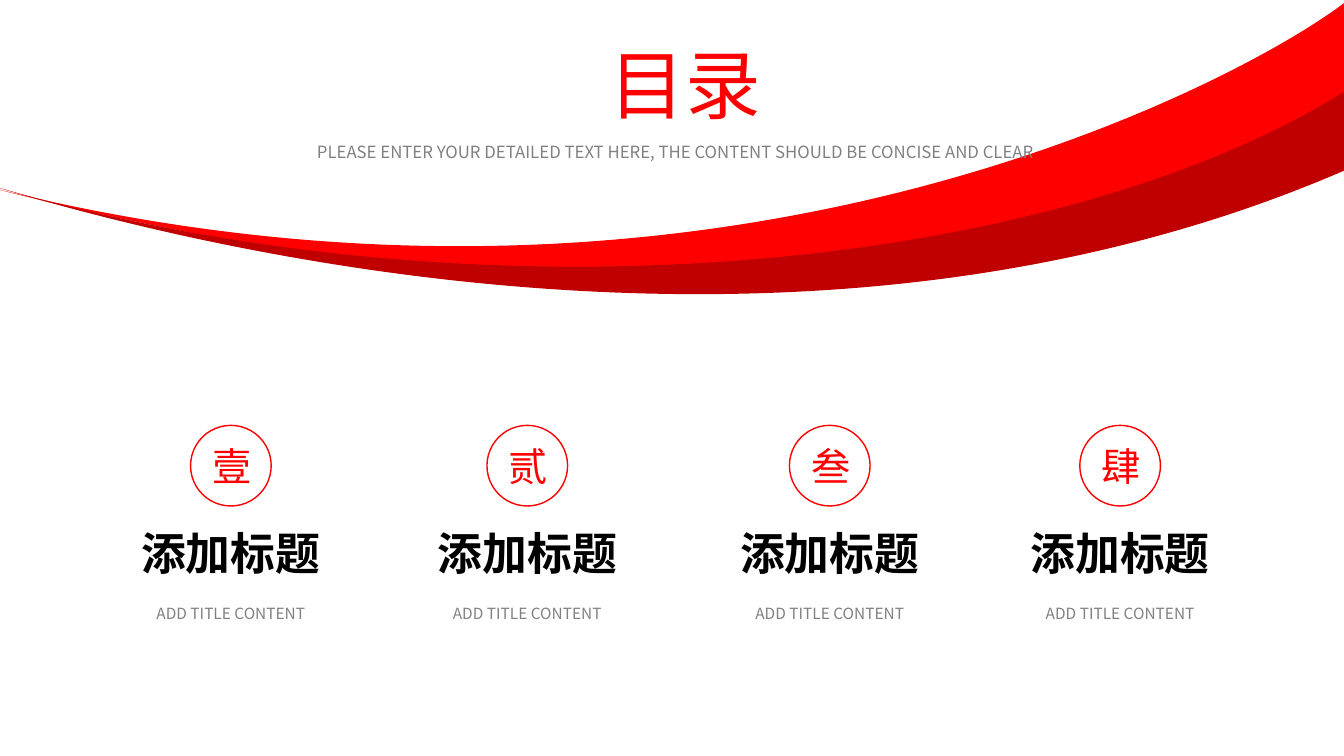
from pptx import Presentation
from pptx.dml.color import RGBColor
from pptx.enum.shapes import MSO_SHAPE
from pptx.enum.text import MSO_ANCHOR, MSO_AUTO_SIZE, PP_ALIGN
from pptx.oxml.ns import qn
from pptx.util import Inches, Pt
from lxml.etree import SubElement

RED = RGBColor(0xFF, 0x00, 0x00)
DARK_RED = RGBColor(0xC0, 0x00, 0x00)
GRAY = RGBColor(0x80, 0x80, 0x80)
BLACK = RGBColor(0x00, 0x00, 0x00)
FONT = "Noto Sans CJK SC"

TITLE = "目录"
SUBTITLE = "PLEASE ENTER YOUR DETAILED TEXT HERE, THE CONTENT SHOULD BE CONCISE AND CLEAR"
SECTIONS = [
    (1.89, 2.91, "壹", "添加标题", "ADD TITLE CONTENT"),
    (4.83, 3.0, "贰", "添加标题", "ADD TITLE CONTENT"),
    (7.83, 2.99, "叁", "添加标题", "ADD TITLE CONTENT"),
    (10.71, 2.92, "肆", "添加标题", "ADD TITLE CONTENT"),
]
RIBBONS = [
    (RED, (-0.21, 0, 13.57, 2.72), [
        ("moveTo", [(-0.21, 1.83)]),
        ("cubicBezTo", [(3.4, 2.78), (8.74, 3.56), (13.35, 0.97)]),
        ("lnTo", [(13.37, 0)]),
        ("cubicBezTo", [(12.41, 0.76), (7.06, 3.7), (-0.21, 1.83)]),
        ("close", []),
    ]),
    (DARK_RED, (-0.19, 0.9, 13.55, 2.01), [
        ("moveTo", [(-0.19, 1.81)]),
        ("cubicBezTo", [(2.69, 2.7), (8.41, 3.84), (13.36, 1.68)]),
        ("cubicBezTo", [(13.36, 1.42), (13.35, 1.16), (13.35, 0.9)]),
        ("cubicBezTo", [(10.49, 2.69), (4.77, 3.29), (-0.19, 1.81)]),
        ("close", []),
    ]),
]
CIRCLE = 0.8


def add_ribbon(s, color, bounds, commands):
    left, top, width, height = (Inches(v) for v in bounds)
    builder = s.shapes.build_freeform(left, top)
    builder.add_line_segments([(left + width, top), (left + width, top + height)])
    sp = builder.convert_to_shape()
    outline = sp._element.find(".//" + qn("a:path"))
    for child in list(outline):
        outline.remove(child)
    for command, points in commands:
        step = SubElement(outline, qn("a:" + command))
        for x, y in points:
            pt = SubElement(step, qn("a:pt"))
            pt.set("x", str(Inches(x) - left))
            pt.set("y", str(Inches(y) - top))
    sp.shadow.inherit = False
    sp.fill.solid()
    sp.fill.fore_color.rgb = color
    sp.line.fill.background()


def write(sp, text, size, color, bold=False, align=PP_ALIGN.CENTER,
          anchor=MSO_ANCHOR.TOP, spacing=1.0, fit=MSO_AUTO_SIZE.SHAPE_TO_FIT_TEXT):
    tf = sp.text_frame
    tf.word_wrap = True
    tf.auto_size = fit
    tf.vertical_anchor = anchor
    p = tf.paragraphs[0]
    p.alignment = align
    p.line_spacing = spacing
    r = p.add_run()
    r.text = text
    r.font.size = Pt(size)
    r.font.bold = bold
    r.font.color.rgb = color
    r.font.name = FONT
    SubElement(r.font._element, qn("a:ea")).set("typeface", FONT)


def add_label(s, center, top, width, height, text, size, color, **style):
    box = s.shapes.add_textbox(Inches(center - width / 2), Inches(top),
                               Inches(width), Inches(height))
    write(box, text, size, color, **style)


def add_circle(s, left, numeral):
    sp = s.shapes.add_shape(MSO_SHAPE.OVAL, Inches(left), Inches(4.22),
                            Inches(CIRCLE), Inches(CIRCLE))
    sp.shadow.inherit = False
    sp.fill.background()
    sp.line.color.rgb = RED
    sp.line.width = Pt(1)
    write(sp, numeral, 28, RED, anchor=MSO_ANCHOR.MIDDLE, fit=MSO_AUTO_SIZE.NONE)


def main():
    prs = Presentation()
    prs.slide_width, prs.slide_height = Inches(13.33), Inches(7.5)
    s = prs.slides.add_slide(prs.slide_layouts[5])

    for ribbon in RIBBONS:
        add_ribbon(s, *ribbon)

    title = s.shapes.title
    title.left, title.top = Inches(5.95), Inches(0.33)
    title.width, title.height = Inches(1.73), Inches(1.01)
    s.shapes._spTree.append(title._element)
    write(title, TITLE, 54, RED, align=PP_ALIGN.JUSTIFY)
    add_label(s, 6.7, 1.26, 8.52, 0.37, SUBTITLE, 12, GRAY, spacing=1.5)

    for left, heading_width, numeral, heading, caption in SECTIONS:
        center = left + CIRCLE / 2
        add_circle(s, left, numeral)
        add_label(s, center, 5.17, heading_width, 0.64, heading, 32, BLACK, bold=True)
        add_label(s, center, 5.94, 2.27, 0.29, caption, 11, GRAY)

    prs.save("out.pptx")


if __name__ == "__main__":
    main()
